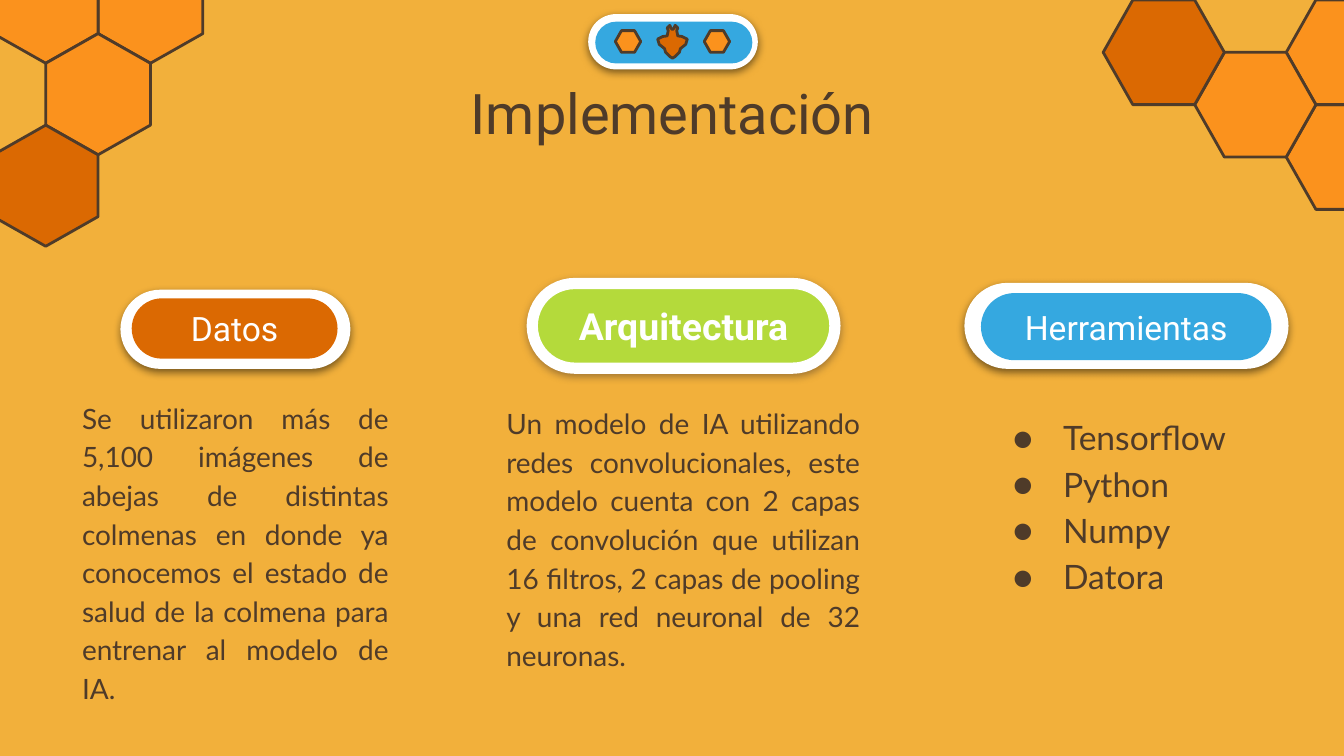
import pptx
import pptx.util
import pptx.dml.color
import pptx.enum.shapes
import pptx.enum.text
import pptx.oxml.ns
import lxml.etree

Cm = pptx.util.Cm
Pt = pptx.util.Pt
KIND = pptx.enum.shapes.MSO_SHAPE
ALIGN = pptx.enum.text.PP_ALIGN
ANCHOR = pptx.enum.text.MSO_ANCHOR

GOLD, BROWN, WHITE = "F2B03B", "4F3B29", "FFFFFF"
AMBER, RUST, BLUE, LIME = "FB921D", "DB6902", "35A8E0", "B4DA3B"

TITLE = "Implementación"
DATA = ["Se utilizaron más de 5,100 imágenes de abejas de distintas colmenas en donde ya "
        "conocemos el estado de salud de la colmena para entrenar al modelo de IA."]
MODEL = ["Un modelo de IA utilizando redes convolucionales, este modelo cuenta con 2 capas "
         "de convolución que utilizan 16 filtros, 2 capas de pooling y una red neuronal "
         "de 32 neuronas."]
TOOLS = ["Tensorflow", "Python", "Numpy", "Datora"]

BODIES = [
    (1, DATA, (1.3, 7.24, 6.3, 6.32), 15, False),
    (3, MODEL, (9.32, 7.34, 7.19, 6.32), 15, False),
    (2, TOOLS, (18.57, 7.52, 5.77, 4.11), 18, True),
]
PILLS = [
    ("", (11.13, 0.28, 3.18, 1.02), (11.25, 0.41, 2.97, 0.79), BLUE),
    ("Datos", (2.29, 5.49, 4.32, 1.47), (2.49, 5.64, 3.89, 1.14), RUST),
    ("Herramientas", (18.24, 5.36, 6.1, 1.6), (18.54, 5.54, 5.49, 1.27), BLUE),
]
LONG, SHORT = 1.73, 0.99
COMBS = [
    ((-0.28, -0.94), (SHORT, LONG), 270,
     [(2, 0, AMBER), (0, 0, AMBER), (1, 1, AMBER), (0, 2, RUST)]),
    ((20.85, 0), (LONG, SHORT), 0,
     [(2, 2, AMBER), (2, 0, AMBER), (1, 1, AMBER), (0, 0, RUST)]),
]
BEE_MID = 1271
BEE = [(0, 56), (3, 53), (5, 48), (10, 53), (8, 58), (10, 68), (18, 69), (28, 74),
       (25, 84), (15, 92), (13, 99), (10, 102), (5, 107), (0, 110)]


def tint(code):
    return pptx.dml.color.RGBColor.from_string(code)


def add_node(parent, tag, **attrs):
    return lxml.etree.SubElement(parent, pptx.oxml.ns.qn(tag), attrs)


def paint(shape, fill, line=None, width=1.5):
    shape.shadow.inherit = False
    shape.fill.solid()
    shape.fill.fore_color.rgb = tint(fill)
    if line:
        shape.line.color.rgb = tint(line)
        shape.line.width = Pt(width)
    else:
        shape.line.fill.background()


def draw(kind, box, fill, line=None, width=1.5):
    shape = slide.shapes.add_shape(kind, *map(Cm, box))
    paint(shape, fill, line, width)
    return shape


def add_pill(box, fill, line=None, width=1.5):
    shape = draw(KIND.ROUNDED_RECTANGLE, box, fill, line, width)
    shape.adjustments[0] = 0.5
    return shape


def add_hex(box, fill, turn=0):
    shape = draw(KIND.HEXAGON, box, fill, BROWN)
    shape.adjustments[0] = 0.283
    shape.rotation = turn


def cast(shape, code):
    effects = shape.element.spPr.find(pptx.oxml.ns.qn("a:effectLst"))
    shade = add_node(effects, "a:outerShdw", blurRad=str(Pt(4.5)), dist=str(Pt(1.5)),
                     dir="5400000", algn="bl", rotWithShape="0")
    add_node(add_node(shade, "a:srgbClr", val=code), "a:alpha", val="50000")


def add_run(para, text, face, size, code, bold=False):
    run = para.add_run()
    run.text = text
    run.font.name, run.font.size, run.font.bold = face, Pt(size), bold
    run.font.color.rgb = tint(code)


def label(shape, text, size, bold=False):
    shape.text_frame.vertical_anchor = ANCHOR.MIDDLE
    para = shape.text_frame.paragraphs[0]
    para.alignment = ALIGN.CENTER
    add_run(para, text, "Roboto", size, WHITE, bold)


def place(holder, box):
    holder.left, holder.top, holder.width, holder.height = map(Cm, box)
    frame = holder.text_frame
    frame.word_wrap = True
    frame.auto_size = pptx.enum.text.MSO_AUTO_SIZE.NONE
    frame.vertical_anchor = ANCHOR.TOP
    frame.margin_left = frame.margin_right = Cm(0.25)
    frame.margin_top = frame.margin_bottom = Cm(0.25)
    return frame


def add_dot(para):
    props = para._p.get_or_add_pPr()
    props.set("marL", str(Cm(1.27)))
    props.set("indent", str(Cm(-0.95)))
    add_node(add_node(props, "a:buClr"), "a:srgbClr", val=BROWN)
    add_node(props, "a:buFont", typeface="Lato")
    add_node(props, "a:buChar", char="●")


deck = pptx.Presentation()
deck.slide_width, deck.slide_height = Cm(25.4), Cm(14.29)
slide = deck.slides.add_slide(deck.slide_layouts[4])
slide.background.fill.solid()
slide.background.fill.fore_color.rgb = tint(GOLD)

for (left, top), (across, down), turn, cells in COMBS:
    for col, row, fill in cells:
        add_hex((left + col * across, top + row * down, 2.29, 1.98), fill, turn)

head = place(slide.shapes.title, (1.98, 1.24, 21.46, 1.6)).paragraphs[0]
head.alignment = ALIGN.CENTER
add_run(head, TITLE, "Roboto", 30, BROWN)

holders = {item.placeholder_format.idx: item for item in slide.placeholders}
for key, lines, box, size, dots in BODIES:
    frame = place(holders[key], box)
    for num, line in enumerate(lines):
        para = frame.add_paragraph() if num else frame.paragraphs[0]
        para.alignment = ALIGN.JUSTIFY
        para.line_spacing = 1.15
        para.space_before = Pt(0)
        if dots:
            add_dot(para)
        add_run(para, line, "Lato", size, BROWN)
spare = holders[4].element
spare.getparent().remove(spare)

for text, outer, inner, fill in PILLS:
    cast(add_pill(outer, WHITE, WHITE, 0.75), "000000")
    pill = add_pill(inner, fill)
    if text:
        label(pill, text, 18)

main = add_pill((10.06, 5.36, 5.72, 1.6), LIME, WHITE, 6)
cast(main, BROWN)
label(main, "Arquitectura", 20, True)

for left in (11.63, 13.31):
    add_hex((left, 0.58, 0.48, 0.41), AMBER)

points = [(BEE_MID - x, y) for x, y in BEE] + [(BEE_MID + x, y) for x, y in BEE[-2:0:-1]]
pen = slide.shapes.build_freeform(*points[0], scale=Cm(0.01))
pen.add_line_segments(points[1:], close=True)
paint(pen.convert_to_shape(), RUST, BROWN)

deck.save("out.pptx")
